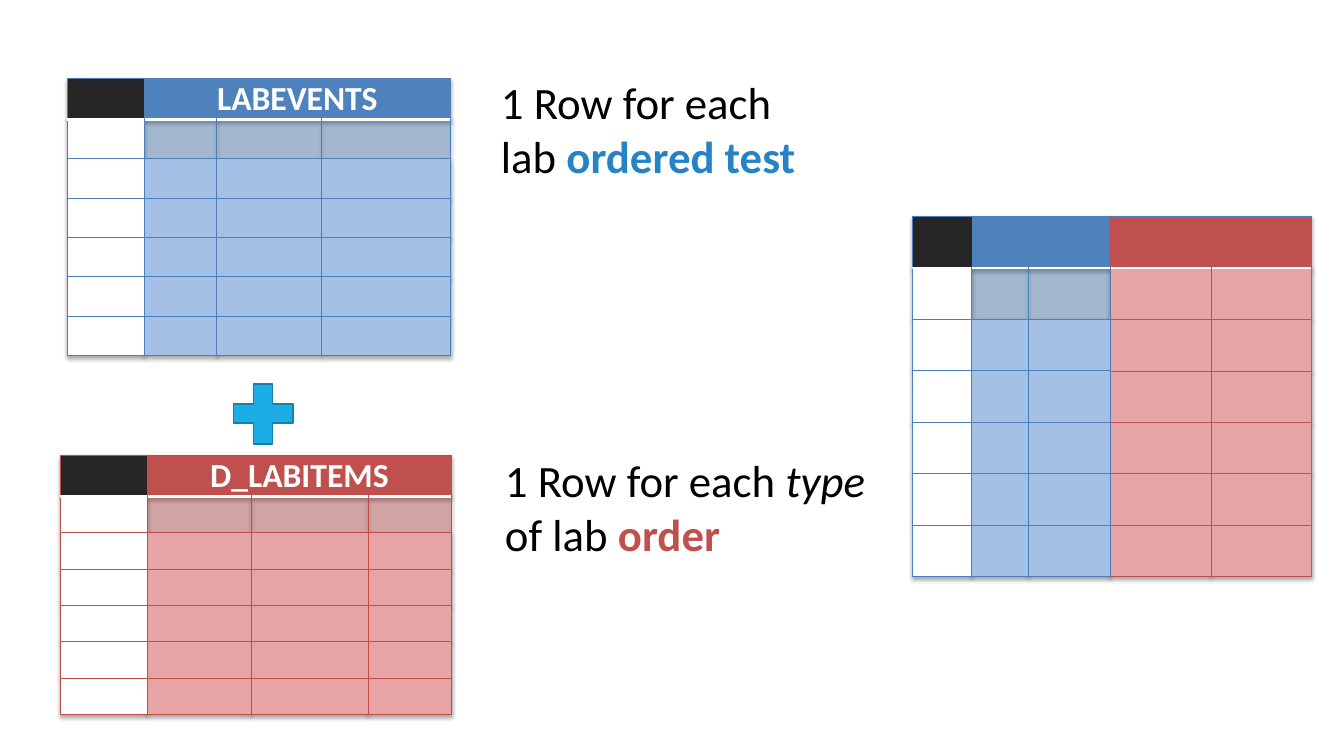
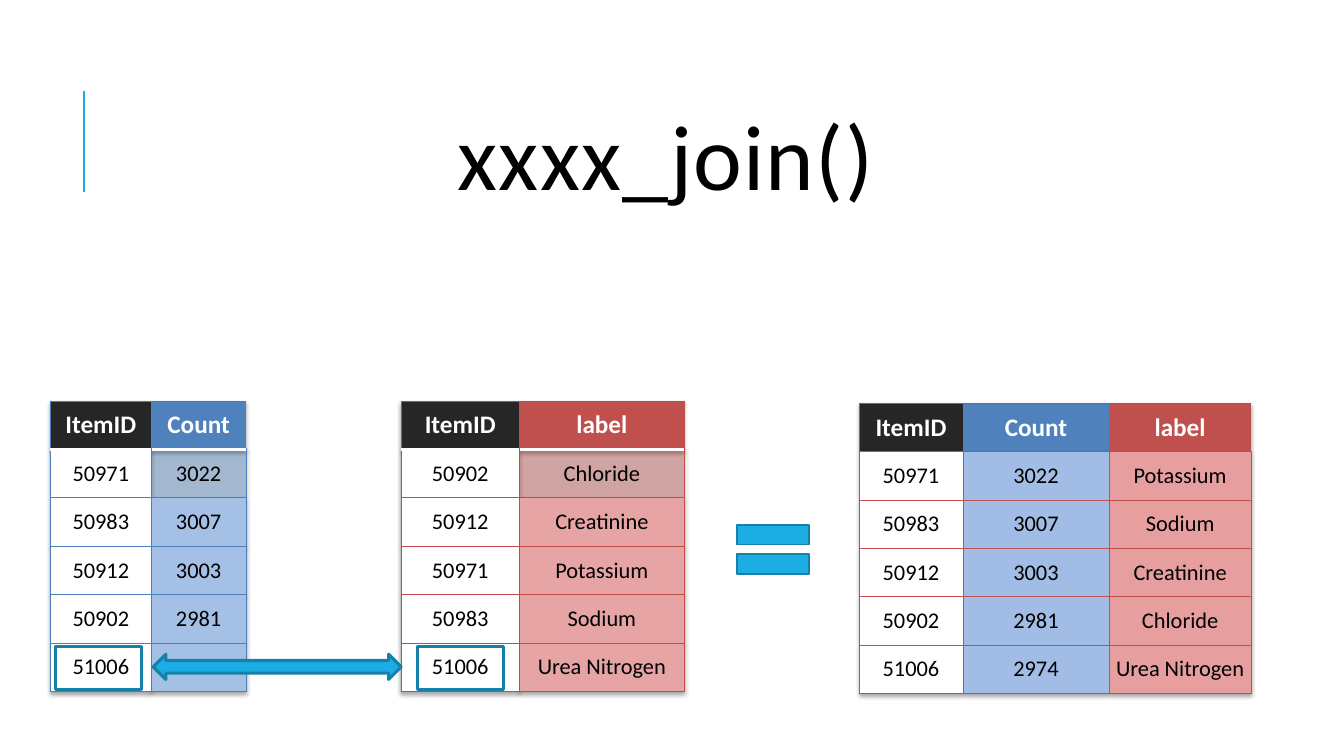
from dataclasses import dataclass
from lxml.etree import SubElement
from pptx import Presentation
from pptx.dml.color import RGBColor
from pptx.enum.shapes import MSO_CONNECTOR, MSO_SHAPE
from pptx.enum.text import MSO_ANCHOR, PP_ALIGN
from pptx.oxml import parse_xml
from pptx.oxml.ns import nsdecls, qn
from pptx.util import Inches, Pt


@dataclass(frozen=True)
class Theme:
    font: str = "Calibri"
    black: str = "000000"
    white: str = "FFFFFF"
    key: str = "262626"
    blue: str = "4F81BD"
    red: str = "C0504D"
    pale_blue: str = "A5C0E5"
    pale_red: str = "E6A5A4"
    soft_blue: str = "A1BDE5"
    soft_red: str = "E69F9E"
    blue_line: str = "4B7EBC"
    red_line: str = "BF4C48"
    accent: str = "1CADE4"
    accent_line: str = "1580A9"
    highlight: str = "2683C6"
    title_size: int = 66
    note_size: int = 32
    banner_size: int = 24
    header_size: int = 18
    body_size: int = 16


THEME = Theme()
NO_TABLE_STYLE = "{2D5ABB26-0587-4C30-8999-92F81FD0307C}"
# Body fills by column colour
PALE = {THEME.key: THEME.white, THEME.blue: THEME.pale_blue, THEME.red: THEME.pale_red}
SOFT = {THEME.key: THEME.white, THEME.blue: THEME.soft_blue, THEME.red: THEME.soft_red}


class SlideBuilder:
    def __init__(self):
        self.deck = Presentation()
        self.deck.slide_width = Inches(13.33)
        self.deck.slide_height = Inches(7.5)
        self.page = None

    def new_page(self):
        """Start a page with the accent line that every page carries."""
        self.page = self.deck.slides.add_slide(self.deck.slide_layouts[6])
        line = self.page.shapes.add_connector(
            MSO_CONNECTOR.STRAIGHT, Inches(0.83), Inches(1.9), Inches(0.83), Inches(0.9))
        line.line.color.rgb = RGBColor.from_string(THEME.accent)
        line.line.width = Pt(1.5)
        SubElement(line._element.spPr, qn("a:effectLst"))

    @staticmethod
    def style(span, size, color=THEME.black, bold=False, italic=False):
        span.font.name = THEME.font
        span.font.size = Pt(size)
        span.font.color.rgb = RGBColor.from_string(color)
        span.font.bold = bold
        span.font.italic = italic

    def text_box(self, at):
        box = self.page.shapes.add_textbox(*map(Inches, at))
        box.text_frame.word_wrap = True
        return box.text_frame

    def title(self, text, at):
        frame = self.text_box(at)
        frame.vertical_anchor = MSO_ANCHOR.MIDDLE
        para = frame.paragraphs[0]
        para.text = text
        para.alignment = PP_ALIGN.CENTER
        para.line_spacing = 0.8
        self.style(para.runs[0], THEME.title_size)
        para.runs[0]._r.get_or_add_rPr().set("spc", "100")

    def note(self, at, parts):
        """Write one paragraph from (text, style options) parts."""
        para = self.text_box(at).paragraphs[0]
        for text, options in parts:
            span = para.add_run()
            span.text = text
            self.style(span, THEME.note_size, **options)

    def symbol(self, kind, at, line_width=1.25, filled=True):
        shape = self.page.shapes.add_shape(kind, *map(Inches, at))
        shape.shadow.inherit = False
        if filled:
            shape.fill.solid()
            shape.fill.fore_color.rgb = RGBColor.from_string(THEME.accent)
        else:
            shape.fill.background()
        shape.line.color.rgb = RGBColor.from_string(THEME.accent_line)
        shape.line.width = Pt(line_width)

    # Table parts
    @staticmethod
    def set_borders(cell, borders):
        properties = cell._tc.get_or_add_tcPr()
        sides = [side for side in "LRTB" if side in borders]
        for place, side in enumerate(sides):
            color, width = borders[side]
            properties.insert(place, parse_xml(
                f'<a:ln{side} {nsdecls("a")} w="{int(Pt(width))}"><a:solidFill>'
                f'<a:srgbClr val="{color}"/></a:solidFill></a:ln{side}>'))

    @staticmethod
    def set_fill(cell, color, opacity=100):
        cell.fill.solid()
        cell.fill.fore_color.rgb = RGBColor.from_string(color)
        if opacity < 100:
            tint = cell._tc.tcPr.find(".//" + qn("a:srgbClr"))
            SubElement(tint, qn("a:alpha")).set("val", str(opacity * 1000))

    def set_text(self, cell, text, size, color, bold):
        cell.margin_left = cell.margin_right = cell.margin_top = cell.margin_bottom = 0
        cell.vertical_anchor = MSO_ANCHOR.MIDDLE
        para = cell.text_frame.paragraphs[0]
        para.alignment = PP_ALIGN.CENTER
        if text:
            para.text = text
            self.style(para.runs[0], size, color, bold)

    @staticmethod
    def add_shadow(table):
        properties = table._tbl.tblPr
        properties.find(qn("a:tableStyleId")).text = NO_TABLE_STYLE
        properties.insert(0, parse_xml(
            f'<a:effectLst {nsdecls("a")}><a:outerShdw blurRad="40000" dist="23000" '
            'dir="5400000" rotWithShape="0"><a:srgbClr val="000000"><a:alpha val="35000"/>'
            '</a:srgbClr></a:outerShdw></a:effectLst>'))

    def table(self, corner, widths, row_height, colors, headers, records, edge,
              inner=None, rule=(THEME.white, 2), fills=PALE, glass=None,
              header_size=THEME.header_size):
        """Draw a table with one colour per column.

        inner maps a column colour to its own grid line; glass is the column
        colour whose first record is see-through. A short header list makes
        the last header span the remaining columns.
        """
        inner = inner or {}
        count, last = len(widths), len(records)
        table = self.page.shapes.add_table(
            last + 1, count, *map(Inches, corner),
            Inches(sum(widths)), Inches(row_height * (last + 1))).table
        table.first_row = table.horz_banding = False
        self.add_shadow(table)
        for column, width in zip(table.columns, widths):
            column.width = Inches(width)
        for row in table.rows:
            row.height = Inches(row_height)

        for index, color in enumerate(colors):
            # Header cell
            head = table.cell(0, index)
            self.set_fill(head, color)
            text = headers[index] if index < len(headers) else ""
            self.set_text(head, text, header_size, THEME.white, True)
            borders = {"T": edge, "B": rule}
            if index == 0:
                borders["L"] = edge
            self.set_borders(head, borders)
            # Body cells
            grid = inner.get(color, edge)
            same_left = index > 0 and colors[index - 1] == color
            same_right = index < count - 1 and colors[index + 1] == color
            for number, record in enumerate(records, 1):
                cell = table.cell(number, index)
                if number == 1 and color == glass:
                    self.set_fill(cell, color, 40)
                else:
                    self.set_fill(cell, fills[color])
                self.set_text(cell, record[index], THEME.body_size, THEME.black, False)
                self.set_borders(cell, {
                    "L": grid if same_left else edge,
                    "R": grid if same_right else edge,
                    "T": rule if number == 1 else grid,
                    "B": grid})
        if len(headers) < count:
            table.cell(0, len(headers) - 1).merge(table.cell(0, count - 1))


BLUE_EDGE = (THEME.blue_line, 0.75)
RED_EDGE = (THEME.red_line, 0.75)
THIN_RED = (THEME.red, 0.5)


def build_overview(builder):
    builder.new_page()
    # Two source tables
    sources = [
        ("LABEVENTS", (0.67, 0.78), [0.76, 0.72, 1.04, 1.28], 0.39, THEME.blue, BLUE_EDGE),
        ("D_LABITEMS", (0.6, 4.52), [0.86, 1.03, 1.16, 0.83], 0.36, THEME.red, RED_EDGE),
    ]
    for name, corner, widths, height, color, edge in sources:
        builder.table(corner, widths, height, [THEME.key] + [color] * 3, ["", name],
                      [[""] * 4] * 6, edge, glass=color, header_size=THEME.banner_size)
    # Combined table
    builder.table((9.05, 2.15), [0.59, 0.56, 0.81, 1, 1], 0.51,
                  [THEME.key] + [THEME.blue] * 2 + [THEME.red] * 2,
                  [""] * 5, [[""] * 5] * 6, BLUE_EDGE,
                  inner={THEME.red: THIN_RED}, glass=THEME.blue)
    builder.symbol(MSO_SHAPE.MATH_PLUS, (2.21, 3.7, 0.8, 0.81))
    # Explanations
    builder.note((4.87, 0.69, 3.38, 1.18), [
        ("1 Row for each lab ", {}),
        ("ordered test", {"color": THEME.highlight, "bold": True})])
    builder.note((4.91, 4.44, 3.78, 1.18), [
        ("1 Row for each ", {}), ("type", {"italic": True}), (" of lab ", {}),
        ("order", {"color": THEME.red, "bold": True})])


def build_join(builder):
    counts = {"50971": "3022", "50983": "3007", "50912": "3003",
              "50902": "2981", "51006": "2974"}
    labels = {"50902": "Chloride", "50912": "Creatinine", "50971": "Potassium",
              "50983": "Sodium", "51006": "Urea Nitrogen"}
    joined = [(item, count, labels[item]) for item, count in counts.items()]

    builder.new_page()
    # Tables to join
    builder.table((0.5, 3.98), [1, 0.94], 0.48, [THEME.key, THEME.blue],
                  ["ItemID", "Count"], list(counts.items()), BLUE_EDGE, glass=THEME.blue)
    builder.table((3.98, 3.98), [1.17, 1.64], 0.48, [THEME.key, THEME.red],
                  ["ItemID", "label"], list(labels.items()), RED_EDGE, glass=THEME.red)
    # Matching keys and result sign
    builder.symbol(MSO_SHAPE.MATH_EQUAL, (7.18, 5.04, 0.97, 0.82))
    for left in (0.55, 4.14):
        builder.symbol(MSO_SHAPE.RECTANGLE, (left, 6.41, 0.85, 0.43), 2.25, filled=False)
    builder.symbol(MSO_SHAPE.LEFT_RIGHT_ARROW, (1.52, 6.49, 2.46, 0.25), 2.25)
    # Joined table
    builder.table((8.52, 4), [1.03, 1.45, 1.41], 0.48,
                  [THEME.key, THEME.blue, THEME.red], ["ItemID", "Count", "label"],
                  joined, THIN_RED, rule=THIN_RED, fills=SOFT)
    builder.title("xxxx_join()", (1.29, 0.81, 10.63, 1.64))


def main():
    builder = SlideBuilder()
    build_overview(builder)
    build_join(builder)
    builder.deck.save("out.pptx")


if __name__ == "__main__":
    main()
